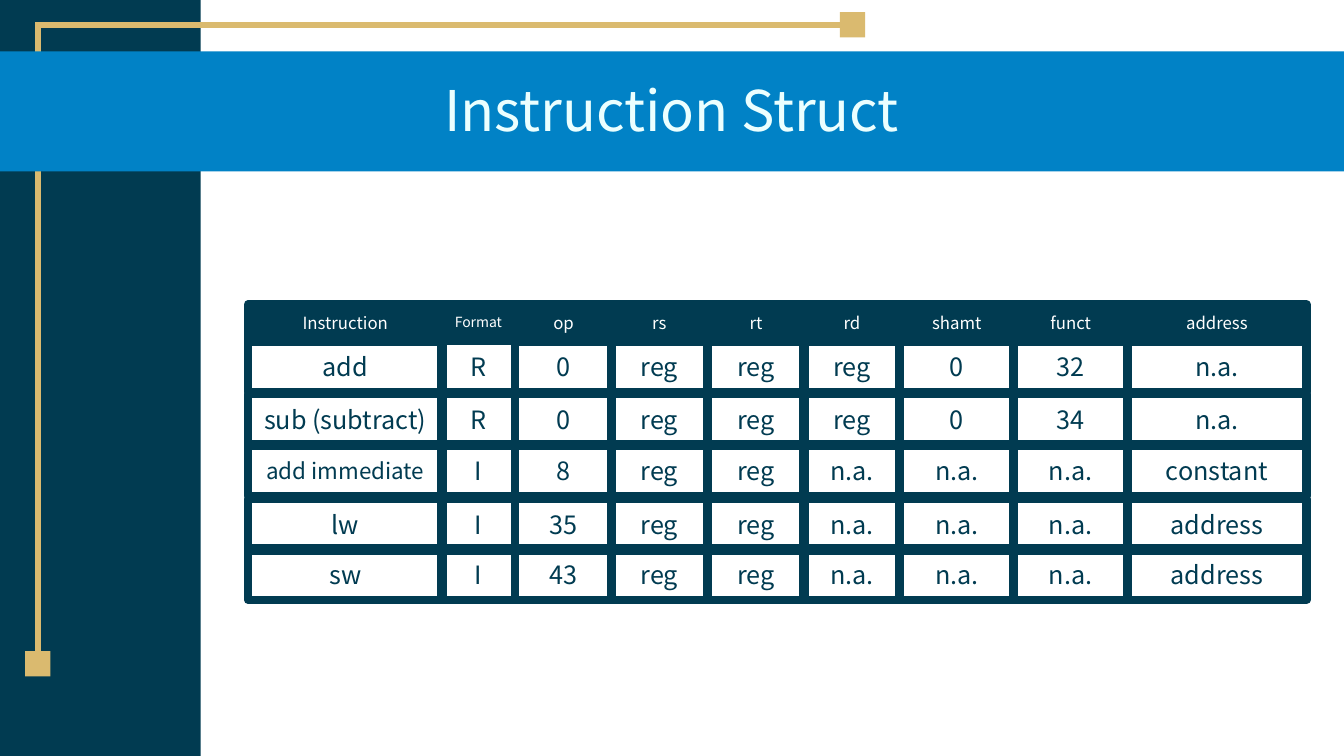
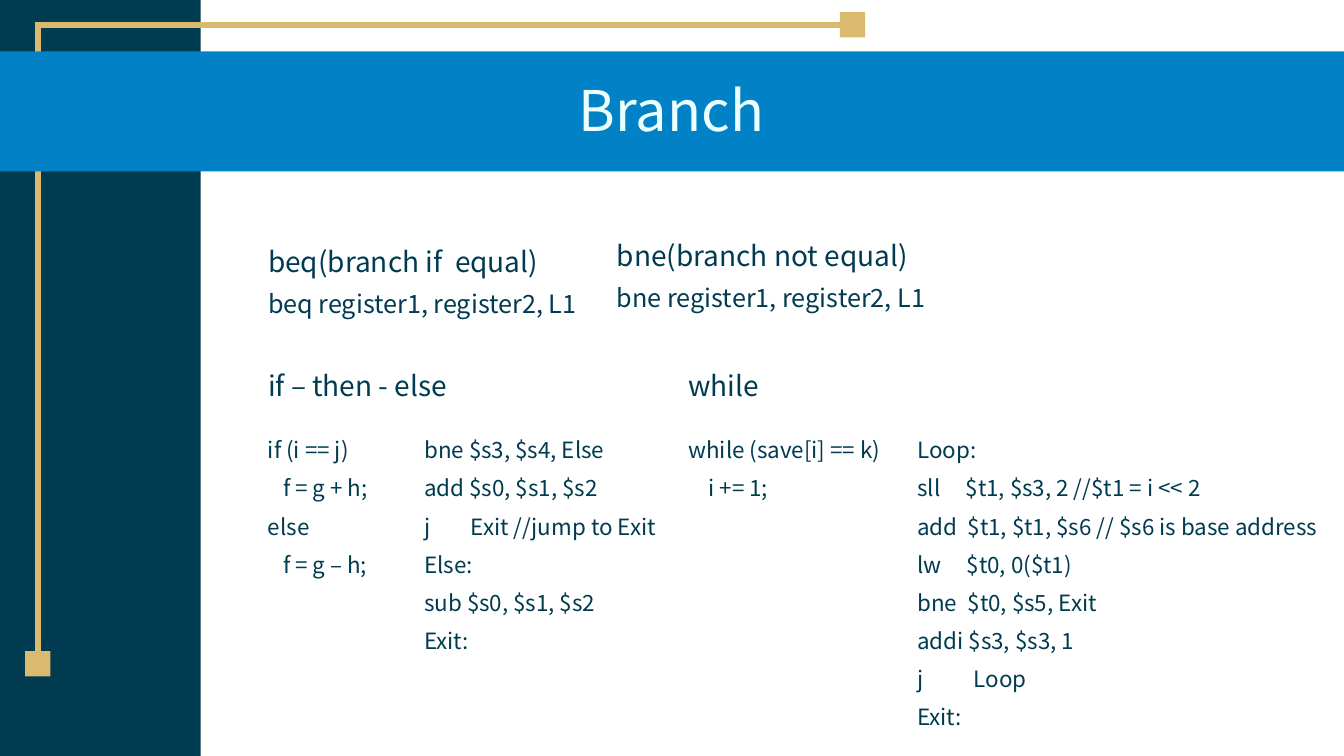
from dataclasses import dataclass

from lxml import etree
from pptx import Presentation
from pptx import slide as s
from pptx import util as u
from pptx.dml import color as c
from pptx.enum import shapes, text
from pptx.oxml import ns

# Shared look
FONT = "Noto Sans CJK KR"
NAVY, BLUE, GOLD = "013B51", "0182C6", "DABA6F"
WHITE, TITLE_TEXT = "FFFFFF", "EBFFFF"
WIDTH, HEIGHT = 13.33, 7.5


@dataclass(frozen=True)
class Box:
    left: float
    top: float
    width: float
    height: float

    def lengths(self) -> list[u.Length]:
        return [u.Inches(n) for n in (self.left, self.top, self.width, self.height)]


@dataclass(frozen=True)
class Line:
    words: str
    size: float = 16
    indent: float = 0
    tab: float = 0


@dataclass(frozen=True)
class Block:
    box: Box
    lines: list[Line]


@dataclass(frozen=True)
class Column:
    left: float
    width: float
    heading: str
    values: list[str]


def rgb(value: str) -> c.RGBColor:
    return c.RGBColor.from_string(value)


def add_span(para, words: str, size: float, colour: str) -> None:
    span = para.add_run()
    span.text = words
    span.font.name = FONT
    span.font.size = u.Pt(size)
    span.font.color.rgb = rgb(colour)


# Shared parts: side panel, gold bracket, title band
PANELS = [(Box(0, 0, 1.99, HEIGHT), NAVY)]
BRACKET = [(0.38, 6.46, 0.38, 0.22), (8.33, 0.25, 0.38, 0.25)]
OVERLAYS = [
    (Box(8.33, 0.12, 0.25, 0.25), GOLD),
    (Box(0.25, 6.46, 0.25, 0.25), GOLD),
    (Box(0, 0.51, WIDTH, 1.19), BLUE),
]


def add_rectangle(page: s.Slide, box: Box, colour: str | None):
    rectangle = page.shapes.add_shape(shapes.MSO_SHAPE.RECTANGLE, *box.lengths())
    rectangle.shadow.inherit = False
    if colour:
        rectangle.fill.solid()
        rectangle.fill.fore_color.rgb = rgb(colour)
    else:
        rectangle.fill.background()
    rectangle.line.fill.background()
    return rectangle


def add_rule(page: s.Slide, ends: tuple[float, ...]) -> None:
    rule = page.shapes.add_connector(
        shapes.MSO_CONNECTOR.STRAIGHT, *[u.Inches(n) for n in ends])
    rule.line.color.rgb = rgb(GOLD)
    rule.line.width = u.Pt(4.5)
    etree.SubElement(rule._element.spPr, ns.qn("a:effectLst"))


def add_text_frame(page: s.Slide, box: Box):
    frame = page.shapes.add_textbox(*box.lengths()).text_frame
    frame.word_wrap = True
    return frame


def add_page(deck, title: str) -> s.Slide:
    page = deck.slides.add_slide(deck.slide_layouts[6])
    for box, colour in PANELS:
        add_rectangle(page, box, colour)
    for ends in BRACKET:
        add_rule(page, ends)
    for box, colour in OVERLAYS:
        add_rectangle(page, box, colour)
    frame = add_text_frame(page, Box(0.09, 0.65, 13.14, 0.82))
    frame.vertical_anchor = text.MSO_ANCHOR.BOTTOM
    para = frame.paragraphs[0]
    para.alignment = text.PP_ALIGN.CENTER
    para.line_spacing = 0.9
    add_span(para, title, 40, TITLE_TEXT)
    return page


# Text blocks
def add_block(page: s.Slide, block: Block) -> None:
    frame = add_text_frame(page, block.box)
    for number, line in enumerate(block.lines):
        para = frame.add_paragraph() if number else frame.paragraphs[0]
        para.line_spacing = 0.9
        para.space_before = u.Pt(10)
        props = para._p.get_or_add_pPr()
        if line.indent:
            props.set("marL", str(u.Inches(line.indent)))
        if line.tab:
            stops = etree.SubElement(props, ns.qn("a:tabLst"))
            etree.SubElement(stops, ns.qn("a:tab"),
                             pos=str(u.Inches(line.tab)), algn="l")
        add_span(para, line.words, line.size, NAVY)


# Instruction grid of outlined fields
HEADING_ROW, FIELD_HEIGHT = 3.02, 0.51
FIELD_TOPS = [3.38, 3.91, 4.41, 4.95, 5.44]
SMALLER = {"Format": 10, "add immediate": 16}
COLUMNS = [
    Column(2.46, 1.93, "Instruction",
           ["add", "sub (subtract)", "add immediate", "lw", "sw"]),
    Column(4.38, 0.73, "Format", ["R", "R", "I", "I", "I"]),
    Column(5.11, 0.96, "op", ["0", "0", "8", "35", "43"]),
    Column(6.06, 0.96, "rs", ["reg"] * 5),
    Column(7.02, 0.96, "rt", ["reg"] * 5),
    Column(7.97, 0.96, "rd", ["reg"] * 2 + ["n.a."] * 3),
    Column(8.92, 1.14, "shamt", ["0"] * 2 + ["n.a."] * 3),
    Column(10.05, 1.14, "funct", ["32", "34"] + ["n.a."] * 3),
    Column(11.18, 1.78, "address",
           ["n.a.", "n.a.", "constant", "address", "address"]),
]


def add_field(page: s.Slide, box: Box, words: str, size: float,
              ink: str, paper: str | None) -> None:
    field = add_rectangle(page, box, paper)
    field.line.color.rgb = rgb(NAVY)
    field.line.width = u.Pt(6)
    frame = field.text_frame
    frame.word_wrap = True
    frame.vertical_anchor = text.MSO_ANCHOR.MIDDLE
    para = frame.paragraphs[0]
    para.alignment = text.PP_ALIGN.CENTER
    add_span(para, words, SMALLER.get(words, size), ink)


def add_column(page: s.Slide, column: Column) -> None:
    heading_height = 0.35 if column.heading == "Format" else 0.37
    heading_box = Box(column.left, HEADING_ROW, column.width, heading_height)
    add_field(page, heading_box, column.heading, 12, WHITE, NAVY)
    for top, words in zip(FIELD_TOPS, column.values):
        box = Box(column.left, top, column.width, FIELD_HEIGHT)
        add_field(page, box, words, 18, NAVY, None)


# Branch examples
HEADING_TOP, CODE_TOP = 3.64, 4.31
BRANCHES = [
    Block(Box(2.56, 2.41, 3.45, 0.93), [
        Line("beq(branch if  equal)", 20),
        Line("beq register1, register2, L1", 18)]),
    Block(Box(6.02, 2.35, 3.45, 0.93), [
        Line("bne(branch not equal)", 20),
        Line("bne register1, register2, L1", 18)]),
    Block(Box(2.56, HEADING_TOP, 4.21, 0.42), [Line("if – then - else", 20)]),
    Block(Box(2.56, CODE_TOP, 1.83, 1.89), [
        Line("if (i == j)"),
        Line("f = g + h;", indent=0.15),
        Line("else"),
        Line("f = g – h;", indent=0.15)]),
    Block(Box(4.11, CODE_TOP, 2.66, 2.35), [
        Line("bne $s3, $s4, Else"),
        Line("add $s0, $s1, $s2"),
        Line("j\tExit //jump to Exit", tab=0.46),
        Line("Else:"),
        Line("sub $s0, $s1, $s2"),
        Line("Exit:")]),
    Block(Box(6.73, HEADING_TOP, 4.21, 0.42), [Line("while", 20)]),
    Block(Box(6.73, CODE_TOP, 2.27, 1.89), [
        Line("while (save[i] == k)"),
        Line("i += 1;", indent=0.2)]),
    Block(Box(9, CODE_TOP, 4.33, 3.03), [
        Line("Loop:"),
        Line("sll\t$t1, $s3, 2 //$t1 = i << 2", tab=0.48),
        Line("add\t$t1, $t1, $s6 // $s6 is base address", tab=0.5),
        Line("lw\t$t0, 0($t1)", tab=0.49),
        Line("bne\t$t0, $s5, Exit", tab=0.5),
        Line("addi $s3, $s3, 1"),
        Line("j\tLoop", tab=0.56),
        Line("Exit:")]),
]

# Build the deck
deck = Presentation()
deck.slide_width, deck.slide_height = u.Inches(WIDTH), u.Inches(HEIGHT)

struct_page = add_page(deck, "Instruction Struct")
for column in COLUMNS:
    add_column(struct_page, column)

branch_page = add_page(deck, "Branch")
for block in BRANCHES:
    add_block(branch_page, block)

deck.save("out.pptx")
